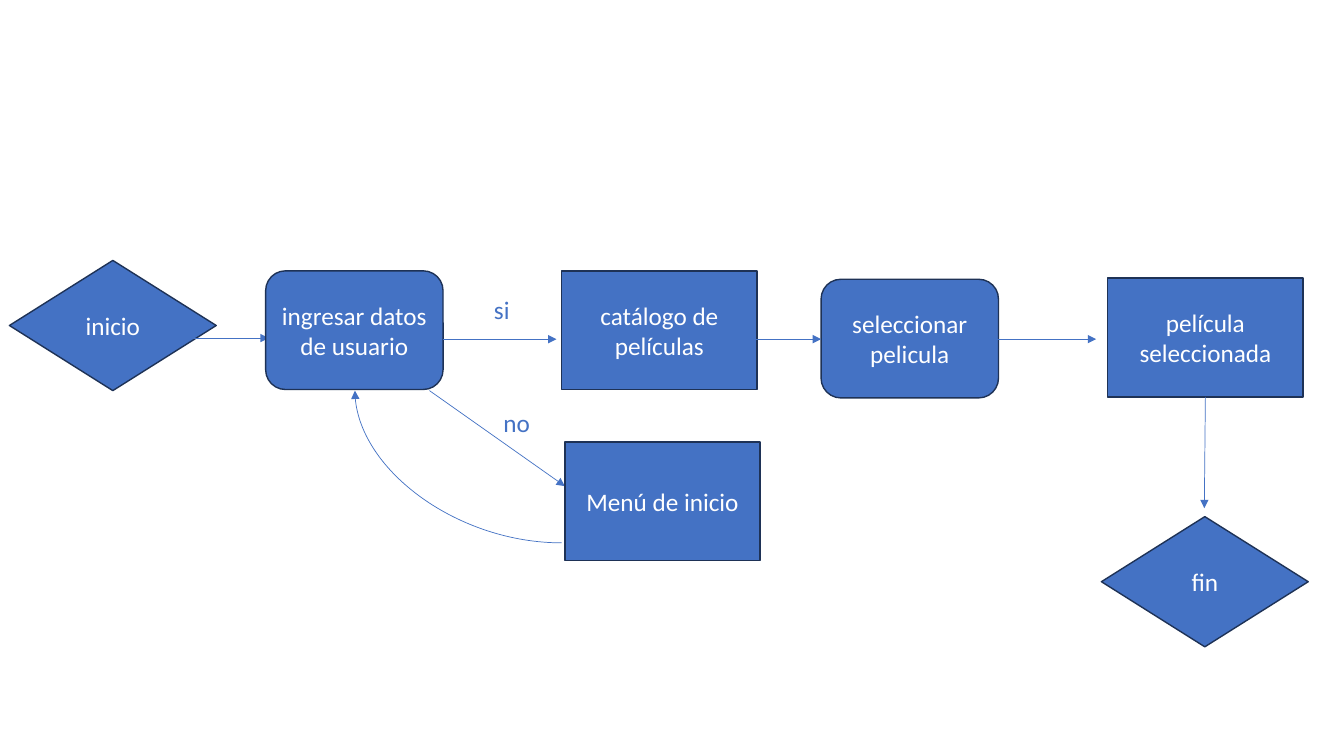
from pptx import Presentation
from pptx.dml.color import RGBColor
from pptx.enum.shapes import MSO_CONNECTOR, MSO_SHAPE
from pptx.enum.text import MSO_ANCHOR, MSO_AUTO_SIZE, PP_ALIGN
from pptx.oxml.ns import qn
from pptx.util import Pt
from lxml.etree import SubElement

EMU_PER_PX = 9525
BLUE = RGBColor(0x44, 0x72, 0xC4)
NAVY = RGBColor(0x1E, 0x32, 0x56)
WHITE = RGBColor(0xFF, 0xFF, 0xFF)

FONT = {"name": "Calibri", "size": Pt(18)}
STEP_FRAME = {"word_wrap": True, "vertical_anchor": MSO_ANCHOR.MIDDLE}
LABEL_FRAME = {"word_wrap": False, "auto_size": MSO_AUTO_SIZE.SHAPE_TO_FIT_TEXT}

# Preset shape with its width and height
TERMINAL = (MSO_SHAPE.DIAMOND, 197, 124)
ACTION = (MSO_SHAPE.ROUNDED_RECTANGLE, 169, 113)
SCREEN = (MSO_SHAPE.RECTANGLE, 186, 113)


def px(*lengths):
    return [length * EMU_PER_PX for length in lengths]


def apply(target, values):
    for name, value in values.items():
        setattr(target, name, value)


class Flowchart:
    def __init__(self, slide):
        self.shapes = slide.shapes

    def set_text(self, shape, text, color, frame_format, align):
        frame = shape.text_frame
        apply(frame, frame_format)
        paragraph = frame.paragraphs[0]
        paragraph.alignment = align
        run = paragraph.add_run()
        run.text = text
        apply(run.font, FONT)
        run.font.color.rgb = color

    def step(self, kind, left, top, text):
        preset, width, height = kind
        step = self.shapes.add_shape(preset, *px(left, top, width, height))
        step.shadow.inherit = False
        step.fill.solid()
        step.fill.fore_color.rgb = BLUE
        step.line.color.rgb = NAVY
        step.line.width = Pt(1)
        self.set_text(step, text, WHITE, STEP_FRAME, PP_ALIGN.CENTER)

    def label(self, left, top, width, text):
        label = self.shapes.add_textbox(*px(left, top, width, 38))
        self.set_text(label, text, BLUE, LABEL_FRAME, PP_ALIGN.LEFT)

    def arrow(self, x1, y1, x2, y2, kind=MSO_CONNECTOR.STRAIGHT):
        arrow = self.shapes.add_connector(kind, *px(x1, y1, x2, y2))
        arrow.line.color.rgb = BLUE
        arrow.line.width = Pt(0.5)
        properties = arrow._element.spPr
        SubElement(properties.find(qn("a:ln")), qn("a:tailEnd"), type="triangle")
        SubElement(properties, qn("a:effectLst"))
        return properties

    def return_arrow(self, left, top, right, bottom):
        """Quarter curve from the bottom right to the top left, by a half turn."""
        properties = self.arrow(left, top, right, bottom, MSO_CONNECTOR.CURVE)
        properties.find(qn("a:prstGeom")).set("prst", "curvedConnector2")
        properties.find(qn("a:xfrm")).set("rot", str(180 * 60000))


def main():
    deck = Presentation()
    deck.slide_width, deck.slide_height = px(1280, 720)
    chart = Flowchart(deck.slides.add_slide(deck.slide_layouts[6]))

    chart.step(TERMINAL, 9, 248, "inicio")
    chart.arrow(163, 322, 256, 322)
    chart.step(ACTION, 253, 258, "ingresar datos de usuario")
    chart.arrow(422, 323, 530, 323)
    chart.step(SCREEN, 535, 258, "catálogo de películas")
    chart.label(461, 276, 35, "si")
    chart.arrow(409, 372, 538, 463)
    chart.label(470, 383, 45, "no")
    chart.step(SCREEN, 538, 421, "Menú de inicio")
    chart.return_arrow(338, 372, 535, 517)
    chart.step(ACTION, 782, 266, "seleccionar pelicula")
    chart.arrow(688, 323, 782, 323)
    chart.arrow(950, 323, 1044, 323)
    chart.step(SCREEN, 1055, 265, "película seleccionada")
    chart.arrow(1148, 378, 1147, 484)
    chart.step(TERMINAL, 1049, 492, "fin")

    deck.save("out.pptx")


if __name__ == "__main__":
    main()
